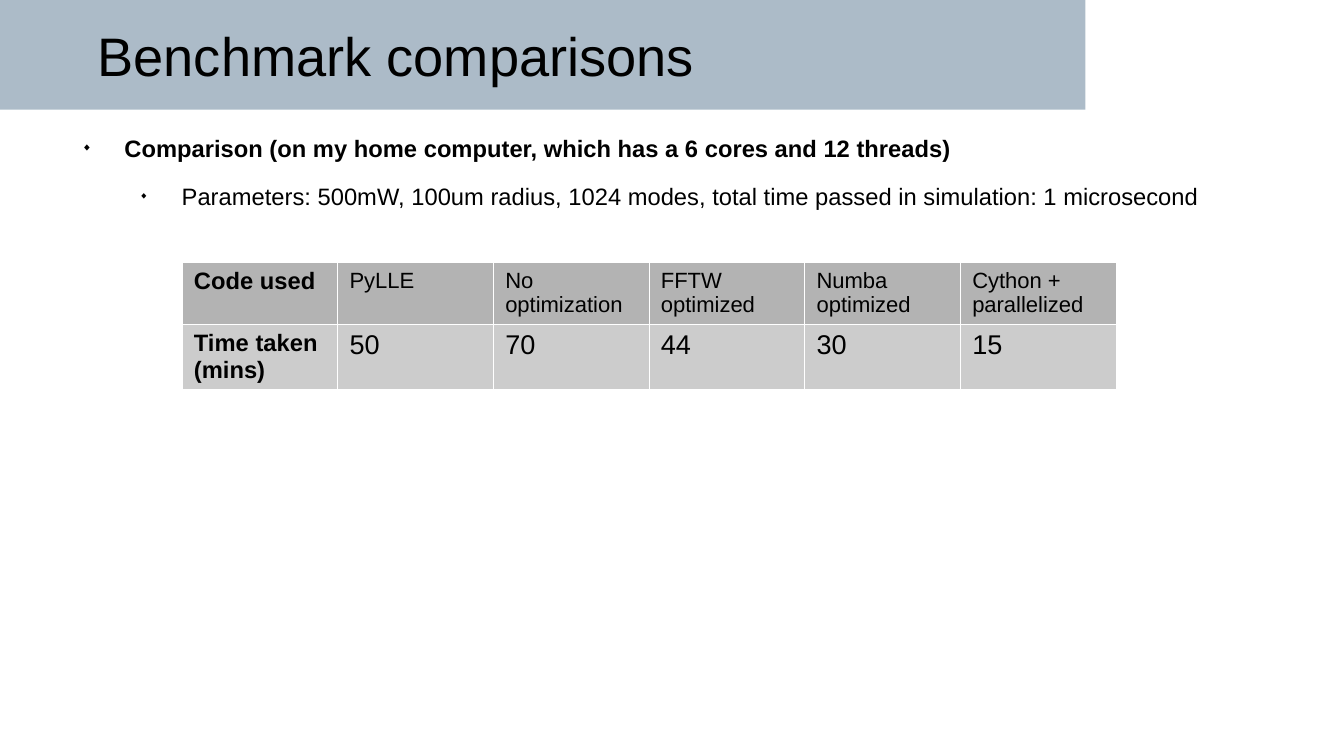
"""Build the benchmark comparison slide with its bullets and timing table."""
import pptx
import pptx.dml.color
import pptx.enum.shapes
import pptx.enum.text
import pptx.oxml
import pptx.oxml.ns
import pptx.util

Pt = pptx.util.Pt
NAMESPACE = pptx.oxml.ns.nsdecls("a")


def color(value):
    return pptx.dml.color.RGBColor.from_string(value)


def add_run(paragraph, text, size, bold=False):
    run = paragraph.add_run()
    run.text = text
    run.font.name = "Arial"
    run.font.size = Pt(size)
    run.font.bold = bold
    run.font.color.rgb = color("000000")


presentation = pptx.Presentation()
presentation.slide_width = Pt(793.44)
presentation.slide_height = Pt(446.4)
slide = presentation.slides.add_slide(presentation.slide_layouts[5])

title = slide.shapes.title
title.left, title.top, title.width, title.height = Pt(57.6), Pt(5.76), Pt(518.4), Pt(53.28)

band = slide.shapes.add_shape(
    pptx.enum.shapes.MSO_SHAPE.RECTANGLE, Pt(0), Pt(0), Pt(640.8), Pt(64.8))
band.shadow.inherit = False
band.fill.solid()
band.fill.fore_color.rgb = color("1A4568")
band_color = band.element.spPr.find(".//" + pptx.oxml.ns.qn("a:srgbClr"))
band_color.append(pptx.oxml.parse_xml(f'<a:alpha {NAMESPACE} val="36000"/>'))
band.line.fill.background()
title.element.addprevious(band.element)

body = slide.shapes.add_textbox(Pt(39.6), Pt(79.2), Pt(754 - 39.6), Pt(259.2))
body.width = Pt(714.24)
for shape in (title, body):
    frame = shape.text_frame
    frame.word_wrap = True
    frame.auto_size = pptx.enum.text.MSO_AUTO_SIZE.NONE
    frame.margin_left = frame.margin_top = frame.margin_right = frame.margin_bottom = Pt(0)

title.text_frame.vertical_anchor = pptx.enum.text.MSO_ANCHOR.MIDDLE
title_paragraph = title.text_frame.paragraphs[0]
title_paragraph.alignment = pptx.enum.text.PP_ALIGN.LEFT
add_run(title_paragraph, "Benchmark comparisons", 32)

bullets = [
    ("Comparison (on my home computer, which has a 6 cores and 12 threads)", True, 10.1, 45),
    ("Parameters: 500mW, 100um radius, 1024 modes, "
     "total time passed in simulation: 1 microsecond", False, 11.3, 40),
]
for level, (text, bold, space_before, bullet_size) in enumerate(bullets):
    paragraph = body.text_frame.paragraphs[0] if level == 0 else body.text_frame.add_paragraph()
    paragraph.level = level
    paragraph.space_before = Pt(space_before)
    add_run(paragraph, text, 14, bold)
    properties = paragraph._p.get_or_add_pPr()
    properties.set("marL", str(Pt(33.84 * (level + 1))))
    properties.set("indent", str(Pt(-25.2)))
    for markup in (
        f'<a:buClr {NAMESPACE}><a:srgbClr val="000000"/></a:buClr>',
        f'<a:buSzPct {NAMESPACE} val="{bullet_size * 1000}"/>',
        f'<a:buFont {NAMESPACE} typeface="Arial"/>',
        f'<a:buChar {NAMESPACE} char="◆"/>',
    ):
        properties.append(pptx.oxml.parse_xml(markup))

rows = [
    (["Code used", "PyLLE", "No optimization", "FFTW optimized", "Numba optimized",
      "Cython + parallelized"], 36.5, "B3B3B3", 13),
    (["Time taken (mins)", "50", "70", "44", "30", "15"], 38.7, "CCCCCC", 16),
]
table = slide.shapes.add_table(2, 6, Pt(107.28), Pt(154.8), Pt(551.52), Pt(75.2)).table
for column in table.columns:
    column.width = Pt(91.92)
for row_index, (texts, height, fill, size) in enumerate(rows):
    table.rows[row_index].height = Pt(height)
    for column_index, text in enumerate(texts):
        cell = table.cell(row_index, column_index)
        cell.margin_left = cell.margin_right = Pt(7.2)
        cell.margin_top = cell.margin_bottom = Pt(3.6)
        is_label = column_index == 0
        add_run(cell.text_frame.paragraphs[0], text, 14 if is_label else size, is_label)
        cell_properties = cell._tc.get_or_add_tcPr()
        for side in ("lnL", "lnR", "lnT", "lnB"):
            cell_properties.append(pptx.oxml.parse_xml(
                f'<a:{side} {NAMESPACE} w="{Pt(0.06)}"><a:solidFill>'
                f'<a:srgbClr val="FFFFFF"/></a:solidFill></a:{side}>'))
        cell.fill.solid()
        cell.fill.fore_color.rgb = color(fill)

presentation.save("out.pptx")
